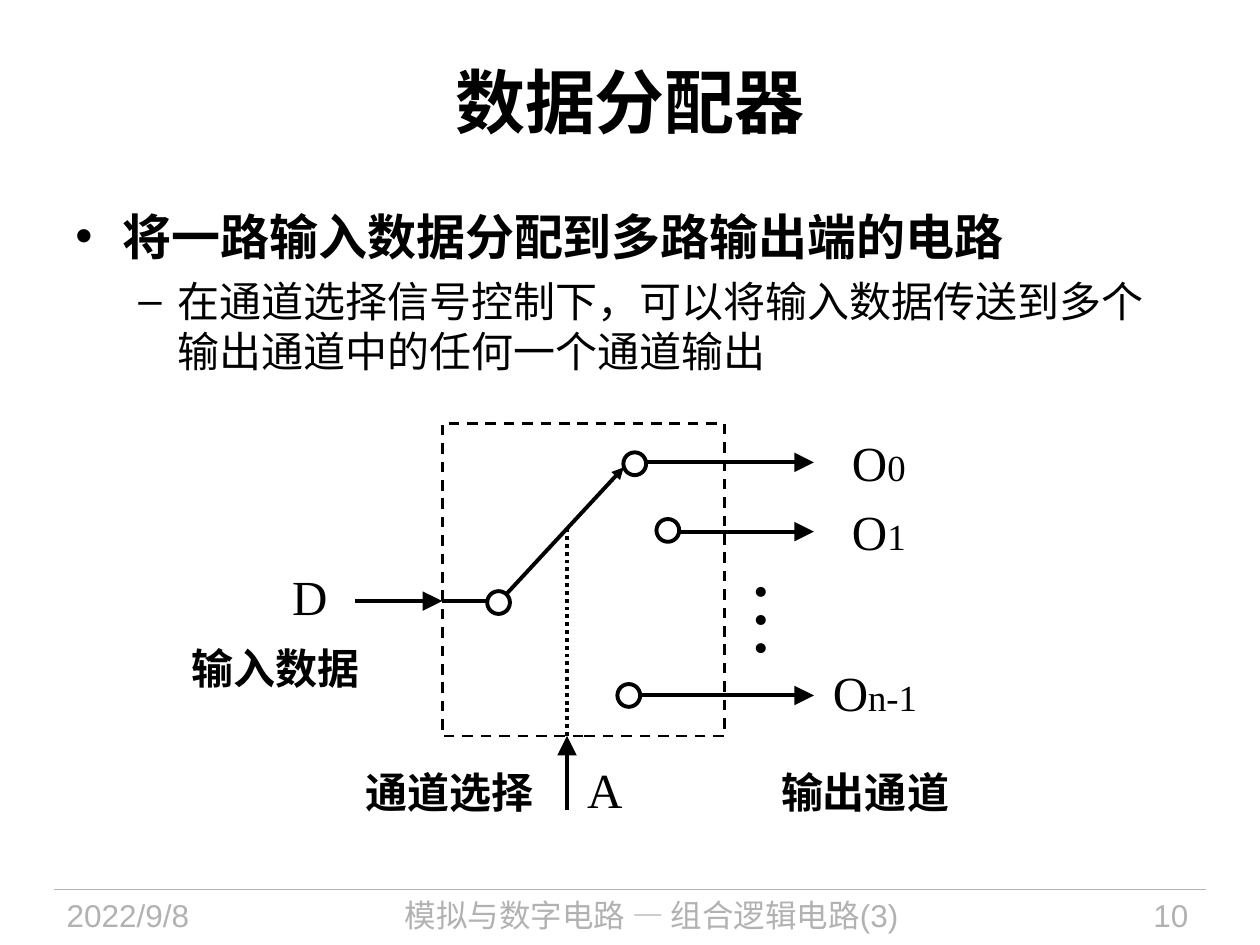
from lxml import etree
from pptx import Presentation
from pptx.dml.color import RGBColor
from pptx.enum.dml import MSO_LINE
from pptx.enum.shapes import MSO_CONNECTOR, MSO_SHAPE
from pptx.enum.text import MSO_ANCHOR, PP_ALIGN
from pptx.oxml.ns import qn
from pptx.util import Pt

LEFT, CENTER, RIGHT = PP_ALIGN.LEFT, PP_ALIGN.CENTER, PP_ALIGN.RIGHT
BLACK, GREY, WHITE = "000000", "B2B2B2", "FFFFFF"
SANS, SERIF = "Arial", "Times New Roman"

TITLE = "数据分配器"
# text, size, bold, bullet, left margin, hanging indent
BODY = [
    ("将一路输入数据分配到多路输出端的电路", 28, True, "•", 27, 27),
    ("在通道选择信号控制下，可以将输入数据传送到多个输出通道中的任何一个通道输出",
     24, False, "–", 58.5, 22.5),
]
# text, left, width, alignment
FOOTER = [
    ("2022/9/8", 31, 135.4, LEFT),
    ("模拟与数字电路 — 组合逻辑电路(3)", 179.3, 386, CENTER),
    ("10", 590.4, 95.8, RIGHT),
]
FOOTER_TOP = 508.3

SWITCH_BOX = (252.7, 241.9, 161.3, 178.6)
INPUT_NODE = (284.9, 344.3)
# index, circle centre, line height, label left, top and width
OUTPUTS = [
    ("0", (362.7, 265), 264.2, 486.7, 247, 31),
    ("1", (381.6, 303.1), 303.8, 486.7, 286.6, 31),
    ("n-1", (359.3, 397.4), 397.4, 475.9, 378.7, 48.2),
]
OUTPUT_END = 465.1
NODE_SIZE = 13
SELECT_X = 324
# text, left, top, width
SIGNALS = [("D", 167, 324, 20.2), ("A", 335.5, 434.2, 23)]
CAPTIONS = [
    ("输入数据", 102.2, 363.6, 118.8),
    ("通道选择", 201.6, 434.2, 121.7),
    ("输出通道", 439.2, 434.2, 118.8),
]


def color(value):
    return RGBColor.from_string(value)


def write(para, text, size=28, font=SERIF, fill=BLACK, bold=False):
    span = para.add_run()
    span.text = text
    span.font.size = Pt(size)
    span.font.name = font
    span.font.bold = bold
    span.font.color.rgb = color(fill)


def add_box(page, left, top, width, height, inset=True, wrap=True):
    box = page.shapes.add_textbox(Pt(left), Pt(top), Pt(width), Pt(height))
    frame = box.text_frame
    frame.word_wrap = wrap
    if not inset:
        frame.margin_left = frame.margin_right = 0
        frame.margin_top = frame.margin_bottom = 0
    return box


def add_text(page, text, place, align=LEFT, inset=True, wrap=True, **style):
    box = add_box(page, *place, inset=inset, wrap=wrap)
    para = box.text_frame.paragraphs[0]
    para.alignment = align
    write(para, text, **style)
    return box


def add_line(page, start, end, fill=BLACK, width=2.25, dash=None, arrow=None):
    """Draw a straight line; arrow is the size of the head at its end."""
    line = page.shapes.add_connector(
        MSO_CONNECTOR.STRAIGHT, *(Pt(v) for v in (*start, *end)))
    line.line.color.rgb = color(fill)
    line.line.width = Pt(width)
    if dash:
        line.line.dash_style = dash
    if arrow:
        etree.SubElement(line.line._get_or_add_ln(), qn("a:tailEnd"),
                         type="triangle", w=arrow, len=arrow)
    etree.SubElement(line._element.spPr, qn("a:effectLst"))


def add_outline(page, kind, place, width, fill=None, dash=None):
    shape = page.shapes.add_shape(kind, *(Pt(v) for v in place))
    shape.shadow.inherit = False
    if fill:
        shape.fill.solid()
        shape.fill.fore_color.rgb = color(fill)
    else:
        shape.fill.background()
    shape.line.color.rgb = color(BLACK)
    shape.line.width = Pt(width)
    if dash:
        shape.line.dash_style = dash


def add_node(page, center):
    x, y = (v - NODE_SIZE / 2 for v in center)
    add_outline(page, MSO_SHAPE.OVAL, (x, y, NODE_SIZE, NODE_SIZE), 2.25, WHITE)


def add_title(page):
    title = page.shapes.title
    title.left, title.top, title.width, title.height = (
        Pt(v) for v in (36, 12.2, 648, 90))
    title.text_frame.vertical_anchor = MSO_ANCHOR.MIDDLE
    para = title.text_frame.paragraphs[0]
    para.alignment = CENTER
    write(para, TITLE, size=40, font=SANS, bold=True)


def add_body(page):
    frame = add_box(page, 36, 114.5, 648, 113).text_frame
    for number, (text, size, bold, bullet, margin, hang) in enumerate(BODY):
        para = frame.add_paragraph() if number else frame.paragraphs[0]
        props = para._p.get_or_add_pPr()
        props.set("marL", str(Pt(margin)))
        props.set("indent", str(-Pt(hang)))
        para.space_after = Pt(size * 0.2)
        etree.SubElement(props, qn("a:buFont"), typeface=SANS)
        etree.SubElement(props, qn("a:buChar"), char=bullet)
        write(para, text, size=size, bold=bold)


def add_footer(page):
    add_line(page, (31, FOOTER_TOP), (689, FOOTER_TOP), fill=GREY, width=0.75)
    for text, left, width, align in FOOTER:
        add_text(page, text, (left, FOOTER_TOP, width, 31.7), align,
                 size=18, font=SANS, fill=GREY)


def add_circuit(page):
    left, top, width, height = SWITCH_BOX
    bottom = top + height
    add_outline(page, MSO_SHAPE.RECTANGLE, SWITCH_BOX, 1.5, dash=MSO_LINE.DASH)

    x, y = INPUT_NODE
    add_line(page, (203, y - 0.8), (left, y - 0.8), arrow="lg")
    add_line(page, (left, y - 0.8), (x, y - 0.8))
    add_line(page, INPUT_NODE, (356.4, 267.1), arrow="med")
    add_line(page, (SELECT_X, bottom), (SELECT_X, 301),
             dash=MSO_LINE.ROUND_DOT)
    add_line(page, (SELECT_X, 463), (SELECT_X, bottom), arrow="lg")
    add_node(page, INPUT_NODE)

    for index, center, level, label_left, label_top, label_width in OUTPUTS:
        add_line(page, (center[0], level), (OUTPUT_END, level), arrow="lg")
        add_node(page, center)
        label = add_text(page, "O", (label_left, label_top, label_width, 33.8),
                         CENTER, inset=False, wrap=False)
        write(label.text_frame.paragraphs[0], index, size=21)

    dots = add_text(page, "…", (420.5, 322.6, 62.6, 64.8), wrap=False, size=48)
    dots.rotation = 90

    for text, *place in SIGNALS:
        add_text(page, text, (*place, 33.8), inset=False, wrap=False)
    for text, *place in CAPTIONS:
        add_text(page, text, (*place, 36), size=24, font=SANS, bold=True)


def main():
    deck = Presentation()
    deck.slide_width, deck.slide_height = Pt(720), Pt(540)
    page = deck.slides.add_slide(deck.slide_layouts[5])
    add_title(page)
    add_body(page)
    add_footer(page)
    add_circuit(page)
    deck.save("out.pptx")


if __name__ == "__main__":
    main()
